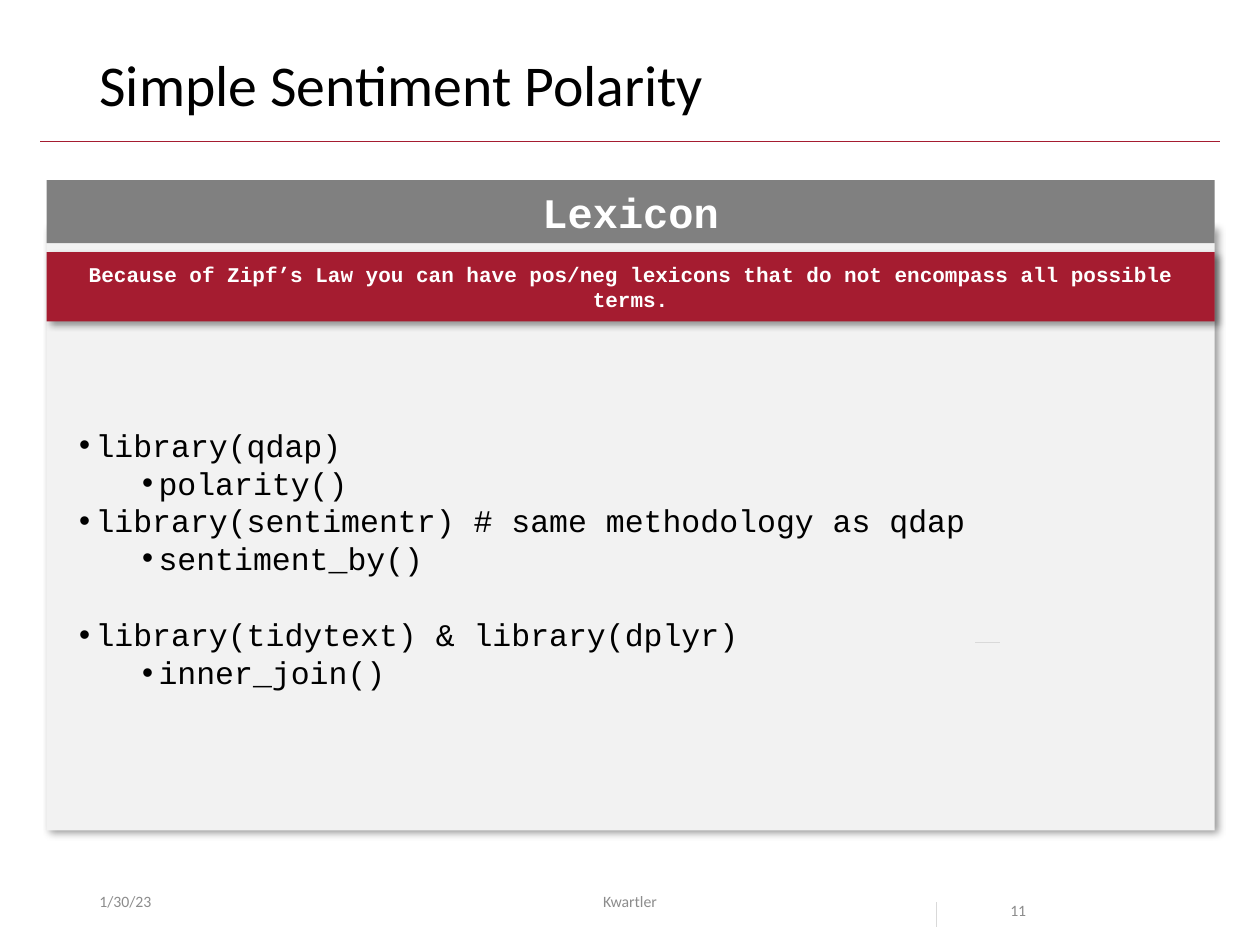
from collections import namedtuple
from dataclasses import dataclass

from lxml import etree
from pptx import Presentation
from pptx.dml.color import RGBColor
from pptx.enum.shapes import MSO_CONNECTOR, MSO_SHAPE
from pptx.enum.text import MSO_ANCHOR, PP_ALIGN
from pptx.oxml.ns import qn
from pptx.util import Inches, Pt

LEFT, CENTER = PP_ALIGN.LEFT, PP_ALIGN.CENTER
TOP, MIDDLE = MSO_ANCHOR.TOP, MSO_ANCHOR.MIDDLE
RECT, STRAIGHT = MSO_SHAPE.RECTANGLE, MSO_CONNECTOR.STRAIGHT

COLS, ROWS = 100, 75
WIDTH, HEIGHT = Inches(10), Inches(7.5)
Box = namedtuple("Box", "x y w h")


@dataclass(frozen=True)
class Theme:
    sans: str = "Calibri"
    mono: str = "Courier New"
    ink: str = "000000"
    white: str = "FFFFFF"
    crimson: str = "A51C30"
    header: str = "808080"
    panel: str = "F2F2F2"
    muted: str = "8C8C8C"
    tick: str = "D9D9D9"
    title: float = 33
    heading: float = 24
    body: float = 18
    note: float = 12
    small: float = 9
    rule: float = 0.5


T = Theme()

BULLETS = [
    (0, "library(qdap)", 0),
    (1, "polarity()", 0),
    (0, "library(sentimentr) # same methodology as qdap", 0),
    (1, "sentiment_by()", 0),
    (0, "library(tidytext) & library(dplyr)", 22),
    (1, "inner_join()", 0),
]


def col(n):
    return round(WIDTH * n / COLS)


def row(n):
    return round(HEIGHT * n / ROWS)


def place(box):
    return col(box.x), row(box.y), col(box.w), row(box.h)


def add_text(p, text, font=T.sans, size=T.small, color=T.ink, bold=False,
             align=LEFT, spacing=None, before=0):
    p.alignment = align
    p.space_before = Pt(before)
    if spacing:
        p.line_spacing = spacing
    r = p.add_run()
    r.text = text
    r.font.name = font
    r.font.size = Pt(size)
    r.font.bold = bold
    r.font.color.rgb = RGBColor.from_string(color)


def add_frame(s, box, anchor=TOP):
    tf = s.shapes.add_textbox(*place(box)).text_frame
    tf.word_wrap = True
    tf.vertical_anchor = anchor
    return tf


def add_line(s, x1, y1, x2, y2, color):
    c = s.shapes.add_connector(STRAIGHT, col(x1), row(y1), col(x2), row(y2))
    c.line.color.rgb = RGBColor.from_string(color)
    c.line.width = Pt(T.rule)
    etree.SubElement(c._element.spPr, qn("a:effectLst"))


def add_shadow(sp):
    effects = sp._element.spPr.find(qn("a:effectLst"))
    shadow = etree.SubElement(effects, qn("a:outerShdw"), blurRad=str(Pt(4)),
                              dist=str(Pt(3)), dir=str(45 * 60000),
                              algn="tl", rotWithShape="0")
    color = etree.SubElement(shadow, qn("a:srgbClr"), val=T.ink)
    etree.SubElement(color, qn("a:alpha"), val="40000")


def add_rect(s, box, fill, shadow=False):
    sp = s.shapes.add_shape(RECT, *place(box))
    sp.shadow.inherit = False
    sp.fill.solid()
    sp.fill.fore_color.rgb = RGBColor.from_string(fill)
    sp.line.fill.background()
    if shadow:
        add_shadow(sp)
    tf = sp.text_frame
    tf.word_wrap = True
    tf.vertical_anchor = MIDDLE
    return tf


def set_bullet(p, level):
    p.level = level
    pPr = p._p.get_or_add_pPr()
    pPr.set("marL", str(Inches(0.13 + 0.5 * level)))
    pPr.set("indent", str(-Inches(0.13)))
    etree.SubElement(pPr, qn("a:buFont"), typeface="Arial")
    etree.SubElement(pPr, qn("a:buChar"), char="•")


def add_title(s, box):
    add_line(s, 3.2, box.y + 7.2, COLS - 3.2, box.y + 7.2, T.crimson)
    tf = add_frame(s, box)
    add_text(tf.paragraphs[0], "Simple Sentiment Polarity", size=T.title,
             spacing=0.9)


def add_bullets(s, box):
    tf = add_frame(s, box)
    for i, (level, text, before) in enumerate(BULLETS):
        p = tf.add_paragraph() if i else tf.paragraphs[0]
        add_text(p, text, font=T.mono, size=T.body, before=before)
        set_bullet(p, level)


def add_lexicon(s, box):
    add_rect(s, Box(box.x, box.y + 3.6, box.w, box.h - 3.6), T.panel, True)
    tf = add_rect(s, Box(box.x, box.y, box.w, 5), T.header)
    add_text(tf.paragraphs[0], "Lexicon", font=T.mono, size=T.heading,
             color=T.white, bold=True, align=CENTER)
    add_bullets(s, Box(box.x + 1.6, box.y + 19, 86.2, 22.2))
    tf = add_rect(s, Box(box.x, box.y + 5.7, box.w, 5.5), T.crimson, True)
    add_text(tf.paragraphs[0],
             "Because of Zipf’s Law you can have pos/neg lexicons that "
             "do not encompass all possible terms.",
             font=T.mono, size=T.note, color=T.white, bold=True, align=CENTER)
    add_line(s, box.x + 73.7, box.y + 36.7, box.x + 75.7, box.y + 36.7, T.tick)


def add_footer(s, box):
    parts = [
        ("1/30/23", 0, 22.5, MIDDLE, LEFT, None),
        ("Kwartler", 26.2, 33.8, MIDDLE, CENTER, None),
        ("11", 72.3, 9.4, TOP, LEFT, 2.0),
    ]
    for text, dx, w, anchor, align, spacing in parts:
        tf = add_frame(s, Box(box.x + dx, box.y, w, box.h), anchor)
        add_text(tf.paragraphs[0], text, color=T.muted, align=align,
                 spacing=spacing)
    add_line(s, box.x + 67.4, box.y + 2.1, box.x + 67.4, box.y + 4.1, T.tick)


def main():
    prs = Presentation()
    prs.slide_width, prs.slide_height = WIDTH, HEIGHT
    s = prs.slides.add_slide(prs.slide_layouts[6])
    add_title(s, Box(6.9, 4, 86.2, 6.5))
    add_lexicon(s, Box(3.7, 14.3, 92.7, 51.6))
    add_footer(s, Box(6.9, 69.5, 86.2, 4))
    prs.save("out.pptx")


if __name__ == "__main__":
    main()
